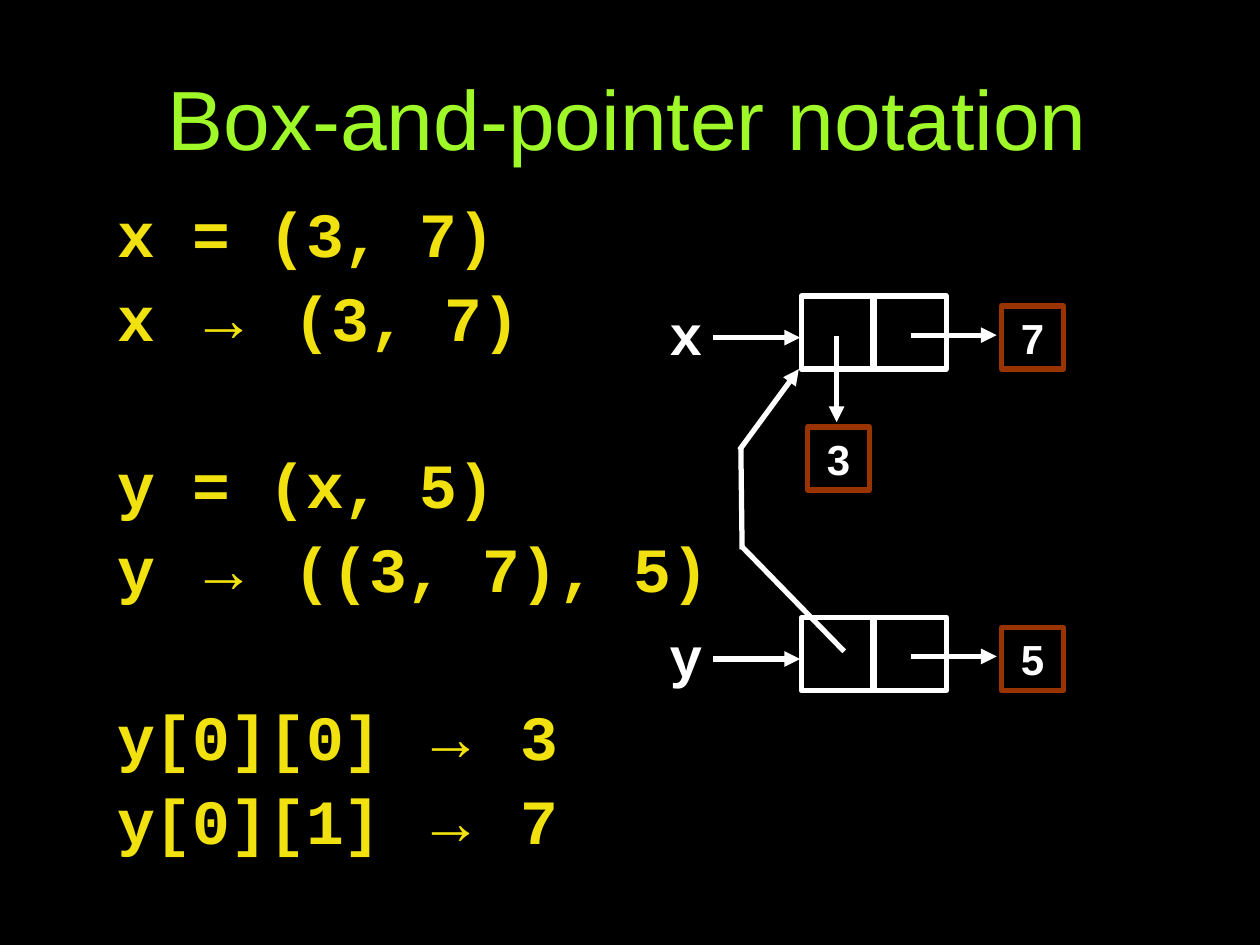
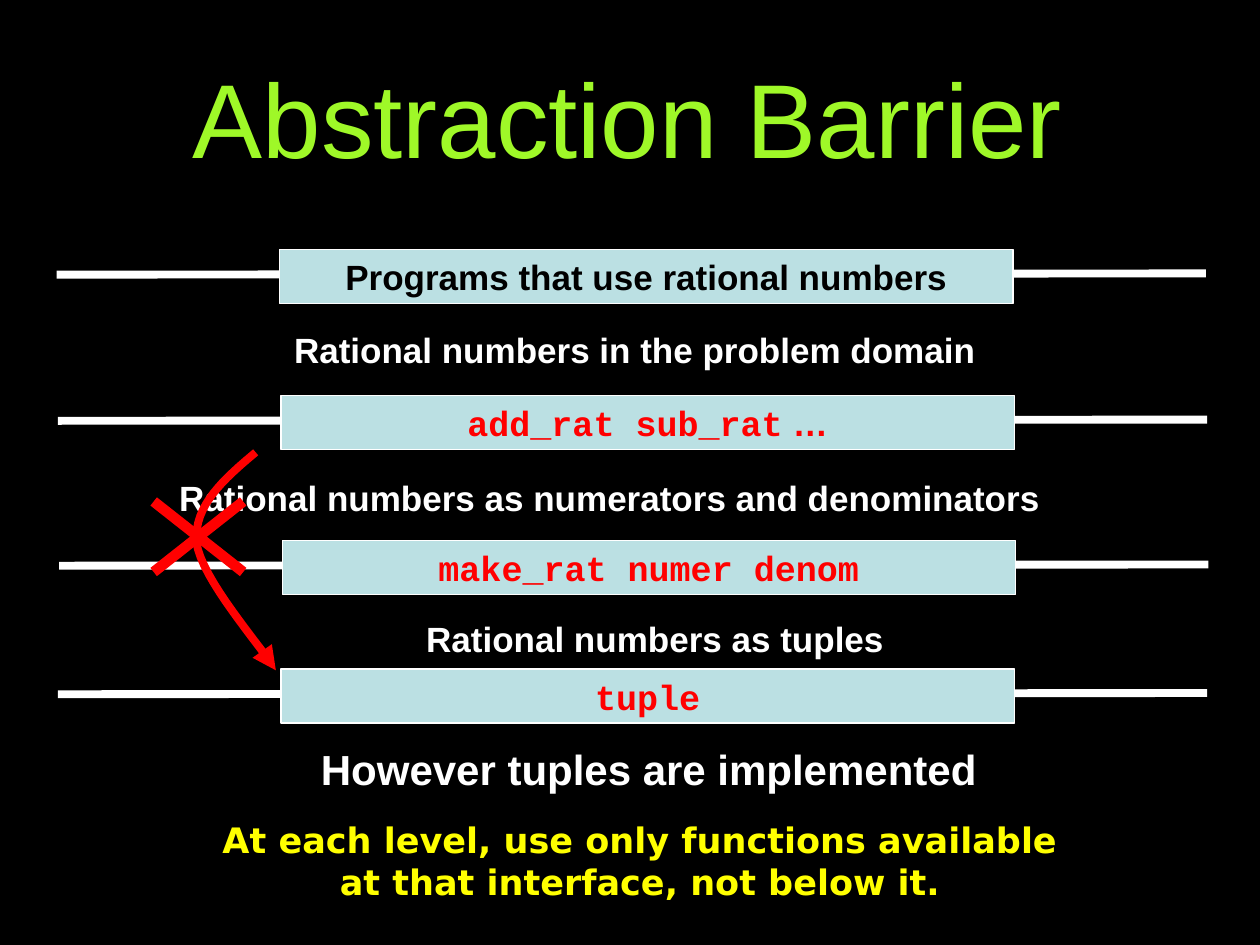
import pptx
import pptx.util
import pptx.dml.color
import pptx.enum.shapes
import pptx.enum.text
import pptx.oxml.ns
import lxml.etree

Inches = pptx.util.Inches
RECT = pptx.enum.shapes.MSO_SHAPE.RECTANGLE
ALIGN = pptx.enum.text.PP_ALIGN
ANCHOR = pptx.enum.text.MSO_ANCHOR
SANS, CODE, NOTE = "Arial", "Courier New", "DejaVu Sans"
COLORS = {
    "back": "000000", "title": "9FF828", "code": "F1E10F", "white": "FFFFFF",
    "rust": "993300", "band": "BBE0E3", "red": "FF0000", "note": "FFFF00",
}


def tint(name):
    """Return a palette colour."""
    return pptx.dml.color.RGBColor.from_string(COLORS[name])


def add_tag(parent, name, **attrs):
    """Append a DrawingML element."""
    return lxml.etree.SubElement(parent, pptx.oxml.ns.qn(name), attrs)


def write(para, text, size, color, font=SANS, bold=True, mark="→", align=ALIGN.CENTER):
    """Fill a paragraph, setting the mark inside it in the sans font."""
    para.alignment = align
    for part in filter(None, text.partition(mark)):
        run = para.add_run()
        run.text = part
        run.font.name = SANS if part == mark else font
        run.font.size = pptx.util.Pt(size)
        run.font.bold = bold
        run.font.color.rgb = tint(color)


def set_frame(holder, box, anchor):
    """Move a placeholder and set its margins."""
    holder.left, holder.top, holder.width, holder.height = map(Inches, box)
    frame = holder.text_frame
    frame.auto_size = pptx.enum.text.MSO_AUTO_SIZE.NONE
    frame.vertical_anchor = anchor
    frame.margin_left = frame.margin_top = frame.margin_bottom = Inches(0.06)
    frame.margin_right = Inches(0.1)
    return frame


def add_page(deck, layout, title, size):
    """Add a slide with the shared title style."""
    slide = deck.slides.add_slide(deck.slide_layouts[layout])
    frame = set_frame(slide.shapes.title, (0.5, 0.07, 9, 1.71), ANCHOR.MIDDLE)
    write(frame.paragraphs[0], title, size, "title", bold=False)
    return slide


def add_label(slide, box, text, size, color="white", font=SANS):
    """Add a centred text box."""
    frame = slide.shapes.add_textbox(*map(Inches, box)).text_frame
    frame.word_wrap = True
    write(frame.paragraphs[0], text, size, color, font)


def set_line(shape, color, width, arrow=False):
    """Style an outline, with an arrowhead at its end if asked."""
    shape.line.color.rgb = tint(color)
    shape.line.width = pptx.util.Pt(width)
    if arrow:
        add_tag(shape.line._get_or_add_ln(), "a:tailEnd", type="triangle")


def add_line(slide, start, end, color="white", width=3, arrow=False):
    """Draw a straight line without shadow."""
    kind = pptx.enum.shapes.MSO_CONNECTOR.STRAIGHT
    line = slide.shapes.add_connector(kind, *map(Inches, (*start, *end)))
    set_line(line, color, width, arrow)
    add_tag(line._element.spPr, "a:effectLst")


def add_rect(slide, box, edge, width, fill=None):
    """Draw a rectangle and return its text frame."""
    rect = slide.shapes.add_shape(RECT, *map(Inches, box))
    rect.shadow.inherit = False
    set_line(rect, edge, width)
    if fill:
        rect.fill.solid()
        rect.fill.fore_color.rgb = tint(fill)
    else:
        rect.fill.background()
    rect.text_frame.vertical_anchor = ANCHOR.TOP
    return rect.text_frame


def add_code(slide, box, groups):
    """Fill the body with groups of code lines set apart by space."""
    frame = set_frame(slide.placeholders[1], box, ANCHOR.TOP)
    for g, group in enumerate(groups):
        for n, text in enumerate(group):
            para = frame.add_paragraph() if g or n else frame.paragraphs[0]
            para.line_spacing = 0.9
            para.space_before = pptx.util.Pt(57 if g and not n else 9)
            props = para._p.get_or_add_pPr()
            props.set("marL", str(Inches(0.42)))
            props.set("indent", str(Inches(-0.38)))
            add_tag(props, "a:buNone")
            write(para, text, 36, "code", CODE, align=ALIGN.LEFT)


def add_value(slide, x, y, text):
    """Draw a boxed number."""
    frame = add_rect(slide, (x, y, 0.49, 0.5), "rust", 3)
    write(frame.paragraphs[0], text, 24, "white")


def add_pair(slide, x, y, name, value):
    """Draw a named pair whose second cell points to a value."""
    for col in range(2):
        add_rect(slide, (x + 0.58 * col, y, 0.57, 0.58), "white", 3)
    add_label(slide, (x - 1.15, y - 0.02, 0.47, 0.63), name, 32, font=CODE)
    add_value(slide, x + 1.59, y + 0.08, value)
    add_line(slide, (x - 0.7, y + 0.33), (x - 0.01, y + 0.33), arrow=True)
    add_line(slide, (x + 0.87, y + 0.31), (x + 1.55, y + 0.31), arrow=True)


def add_boxes(slide, x, y):
    """Draw both pairs and the pointers out of their first cells."""
    low = y + 2.55
    add_pair(slide, x, y, "x", "7")
    add_value(slide, x + 0.05, y + 1.04, "3")
    add_line(slide, (x + 0.28, y + 0.32), (x + 0.28, y + 1), arrow=True)
    add_pair(slide, x, low, "y", "5")
    add_line(slide, (x + 0.34, low + 0.27), (x - 0.47, low - 0.56))
    add_line(slide, (x - 0.47, low - 0.54), (x - 0.48, y + 1.21))
    add_line(slide, (x - 0.49, y + 1.22), (x - 0.02, y + 0.58), arrow=True)


def add_layer(slide, x, y, text, color, font):
    """Draw a barrier line with its labelled band."""
    add_line(slide, (x - 1.77, y + 0.2), (x + 7.35, y + 0.19), width=4.5)
    frame = add_rect(slide, (x, y, 5.82, 0.43), "white", 0.75, "band")
    write(frame.paragraphs[0], text, 20, color, font, mark=" …")


def curve(knots, steps=16):
    """Return the points of a cubic curve after its start."""
    spots = []
    for step in range(1, steps + 1):
        t = step / steps
        u = 1 - t
        parts = (u ** 3, 3 * u * u * t, 3 * u * t * t, t ** 3)
        spots.append(tuple(sum(p * k[axis] for p, k in zip(parts, knots)) for axis in (0, 1)))
    return spots


def add_breach(slide, x, y):
    """Draw the crossed-out arrow that skips a barrier."""
    knots = [(0.81, 0), (0.56, 0.21), (0.32, 0.42), (0.34, 0.71),
             (0.37, 1), (0.87, 1.56), (0.97, 1.73)]
    spots = knots[:1] + curve(knots[:4]) + curve(knots[3:])
    spots = [(Inches(x + dx), Inches(y + dy)) for dx, dy in spots]
    pen = slide.shapes.build_freeform(*spots[0])
    pen.add_line_segments(spots[1:], close=False)
    bend = pen.convert_to_shape()
    bend.shadow.inherit = False
    bend.fill.background()
    set_line(bend, "red", 4.5, arrow=True)
    for left, right in ((0, 0.71), (0.71, 0)):
        add_line(slide, (x + left, y + 0.39), (x + right, y + 0.95), "red", 6)


def make_boxes(deck):
    """Build the slide on box-and-pointer notation."""
    slide = add_page(deck, 1, "Box-and-pointer notation", 48)
    add_code(slide, (0.83, 1.55, 8.81, 5.69), [
        ("x = (3, 7)", "x → (3, 7)"),
        ("y = (x, 5)", "y → ((3, 7), 5)"),
        ("y[0][0] → 3", "y[0][1] → 7"),
    ])
    add_boxes(slide, 6.36, 2.35)


def make_layers(deck):
    """Build the slide on abstraction barriers."""
    slide = add_page(deck, 5, "Abstraction Barrier", 60)
    add_label(slide, (1.49, 6.45, 7.18, 0.77),
              "At each level, use only functions available at that interface, not below it.",
              20, "note", NOTE)
    for x, y, text, color, font in (
        (2.22, 1.98, "Programs that use rational numbers", "back", SANS),
        (2.23, 3.14, "add_rat sub_rat …", "red", CODE),
        (2.24, 4.29, "make_rat numer denom", "red", CODE),
        (2.23, 5.31, "tuple", "red", CODE),
    ):
        add_layer(slide, x, y, text, color, font)
    for box, text, size in (
        ((2.12, 2.56, 5.84, 0.43), "Rational numbers in the problem domain", 20),
        ((0.87, 3.73, 7.94, 0.43), "Rational numbers as numerators and denominators", 20),
        ((2.28, 4.85, 5.84, 0.43), "Rational numbers as tuples", 20),
        ((2.23, 5.85, 5.84, 0.5), "However tuples are implemented", 24),
    ):
        add_label(slide, box, text, size)
    add_breach(slide, 1.22, 3.59)


def main():
    """Build and save the deck."""
    deck = pptx.Presentation()
    deck.slide_width, deck.slide_height = Inches(10), Inches(7.5)
    back = deck.slide_master.background.fill
    back.solid()
    back.fore_color.rgb = tint("back")
    make_boxes(deck)
    make_layers(deck)
    deck.save("out.pptx")


if __name__ == "__main__":
    main()
